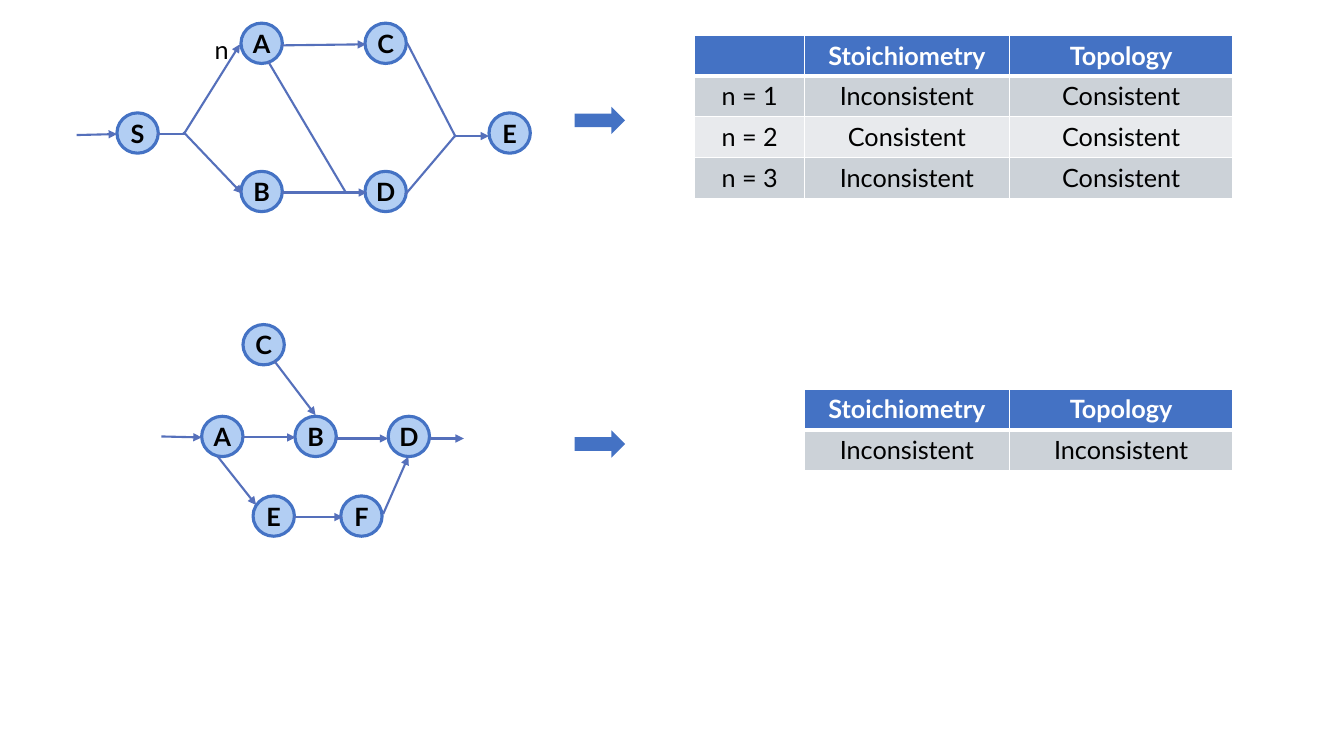
import pptx
import pptx.util
import pptx.dml.color
import pptx.enum.shapes
import pptx.enum.text
import pptx.oxml
import pptx.oxml.ns
import lxml.etree

Pt = pptx.util.Pt
Kind = pptx.enum.shapes.MSO_SHAPE
Mid = pptx.enum.text.PP_ALIGN.CENTER
tag = pptx.oxml.ns.qn
font = "Lato"
hues = {"blue": "4472C4", "node": "B2CEF3", "edge": "5570BB", "odd": "CCD2D8",
        "even": "E8EAED", "white": "FFFFFF", "black": "000000"}
rgb = {name: pptx.dml.color.RGBColor.from_string(hue) for name, hue in hues.items()}

deck = pptx.Presentation()
deck.slide_width = pptx.util.Inches(13.33)
deck.slide_height = pptx.util.Inches(7.5)
slide = deck.slides.add_slide(deck.slide_layouts[6])


# Grid of 133.3 columns by 75 rows
def grid(*spots):
    return [round(spot * deck.slide_height / 75) for spot in spots]


def write(frame, text, color, bold=False, align=None):
    para = frame.paragraphs[0]
    para.alignment = align
    run = para.add_run()
    run.text = text
    run.font.name = font
    run.font.size = Pt(18)
    run.font.bold = bold
    run.font.color.rgb = rgb[color]


# Networks: nodes (name, column, row), then edges (from, to, arrowhead)
step, pitch = 12.3, 9.25
nets = [
    ([("S", 11.6, 11.2), ("A", 11.6 + step, 2.3), ("B", 11.6 + step, 17),
      ("C", 11.6 + 2 * step, 2.3), ("D", 11.6 + 2 * step, 17),
      ("E", 11.6 + 3 * step, 11.2)],
     [(15.6, 13.3, 18.3, 13.3, False), (18.3, 13.2, 23.8, 4.4, True),
      (18.2, 13.1, 24, 19.2, True), (27.9, 4.5, 36.3, 4.4, True),
      (28, 19.1, 36.4, 19.1, True), (34.3, 19.1, 26.6, 6.1, False),
      (45.2, 13.6, 40.4, 4.3, False), (45.1, 13.5, 48.5, 13.5, True),
      (45.2, 13.4, 40.2, 19.3, False), (7.6, 13.4, 11.6, 13.3, True)]),
    ([("A", 20, 41.3), ("B", 20 + pitch, 41.3), ("D", 20 + 2 * pitch, 41.3),
      ("C", 24.1, 32.2), ("E", 25.1, 49.2), ("F", 33.8, 49.2)],
     [(24.1, 43.4, 29.3, 43.4, True), (33.3, 43.5, 38.5, 43.5, True),
      (42.6, 43.5, 46, 43.5, True), (16, 43.3, 20, 43.4, True),
      (27.2, 35.8, 31.3, 41.2, True), (21.6, 45.3, 25.4, 50.1, True),
      (29.2, 51.3, 34, 51.3, True), (38, 51, 40.5, 45.3, True)]),
]
groups = []
for nodes, edges in nets:
    group = slide.shapes.add_group_shape()
    groups.append(group)
    for name, col, row in nodes:
        node = group.shapes.add_shape(Kind.OVAL, *grid(col, row, 4.1, 4))
        node.shadow.inherit = False
        node.fill.solid()
        node.fill.fore_color.rgb = rgb["node"]
        node.line.color.rgb = rgb["blue"]
        node.line.width = Pt(2.25)
        frame = node.text_frame
        frame.margin_left = frame.margin_right = 0
        frame.vertical_anchor = pptx.enum.text.MSO_ANCHOR.MIDDLE
        write(frame, name, "black", True, Mid)
    for *ends, head in edges:
        edge = group.shapes.add_connector(
            pptx.enum.shapes.MSO_CONNECTOR.STRAIGHT, *grid(*ends))
        edge.line.color.rgb = rgb["edge"]
        edge.line.width = Pt(1.5)
        if head:
            line = edge.line._get_or_add_ln()
            lxml.etree.SubElement(line, tag("a:tailEnd"), type="triangle")
        lxml.etree.SubElement(edge._element.spPr, tag("a:effectLst"))

# Label on the edge from S to A
label = groups[0].shapes.add_textbox(*grid(20.3, 2.9, 2.9, 4))
label.text_frame.word_wrap = True
write(label.text_frame, "n", "black")

# Result tables, both ending at the same right edge
widths = [10.9, 20.3, 22.2]
tall = 4.05
right = 122.3
results = [
    (3.5, [["", "Stoichiometry", "Topology"],
           ["n = 1", "Inconsistent", "Consistent"],
           ["n = 2", "Consistent", "Consistent"],
           ["n = 3", "Inconsistent", "Consistent"]]),
    (38.6, [["Stoichiometry", "Topology"], ["Inconsistent", "Inconsistent"]]),
]
for top, rows in results:
    cols = widths[-len(rows[0]):]
    size = sum(cols)
    table = slide.shapes.add_table(
        len(rows), len(cols), *grid(right - size, top, size, tall * len(rows))).table
    for col, width in zip(table.columns, grid(*cols)):
        col.width = width
    for i, texts in enumerate(rows):
        table.rows[i].height = grid(tall)[0]
        for j, text in enumerate(texts):
            cell = table.cell(i, j)
            if text:
                write(cell.text_frame, text, "black" if i else "white", i == 0, Mid)
            # Borders come before the fill, thick below the header
            props = cell._tc.get_or_add_tcPr()
            thick = {"T": 3 if i == 1 else 1, "B": 1 if i else 3}
            for side in "LRTB":
                line = lxml.etree.SubElement(
                    props, tag("a:ln" + side), w=str(Pt(thick.get(side, 1))))
                paint = lxml.etree.SubElement(line, tag("a:solidFill"))
                lxml.etree.SubElement(paint, tag("a:srgbClr"), val=hues["white"])
            cell.fill.solid()
            cell.fill.fore_color.rgb = rgb["blue" if i == 0 else "odd" if i % 2 else "even"]

# Block arrows from each network to its table
for row in (10.6, 42.7):
    arrow = slide.shapes.add_shape(Kind.RIGHT_ARROW, *grid(57, row, 5, 2.7))
    arrow.shadow.inherit = False
    arrow.fill.solid()
    arrow.fill.fore_color.rgb = rgb["blue"]
    arrow.line.fill.background()

deck.save("out.pptx")
